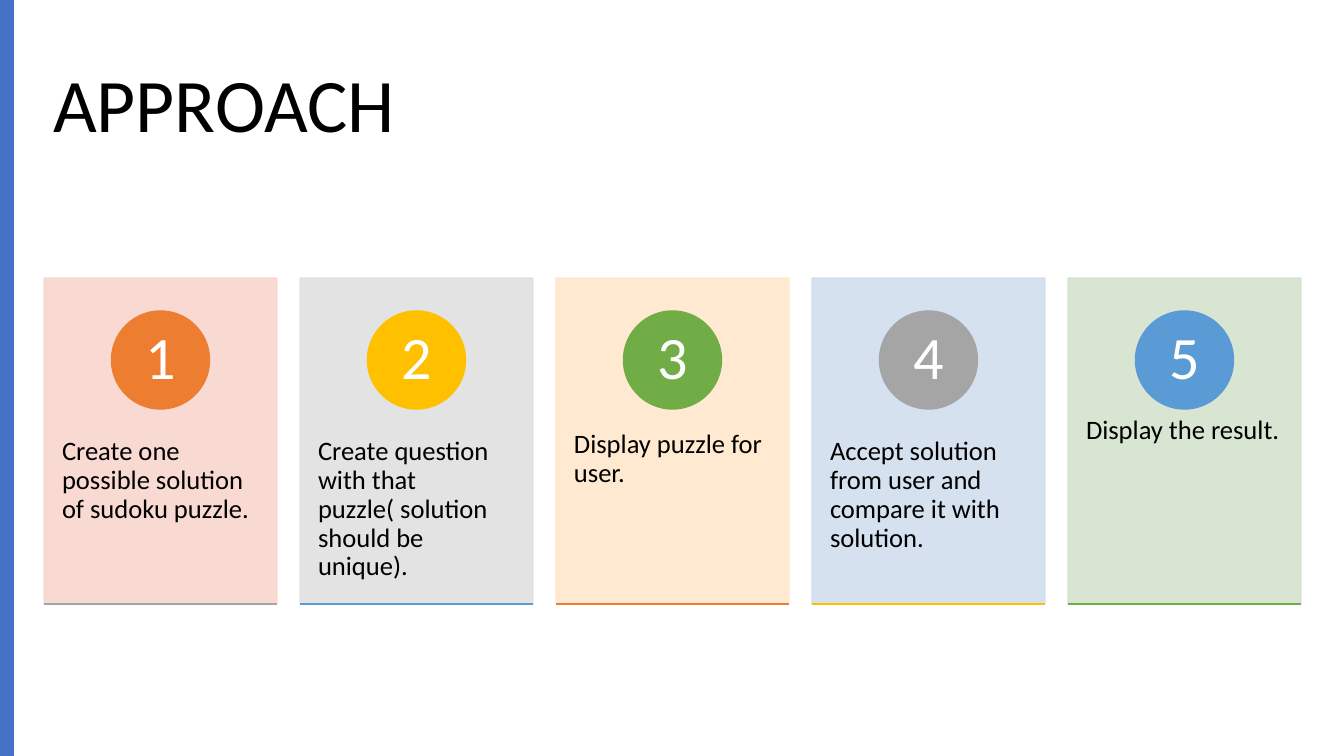
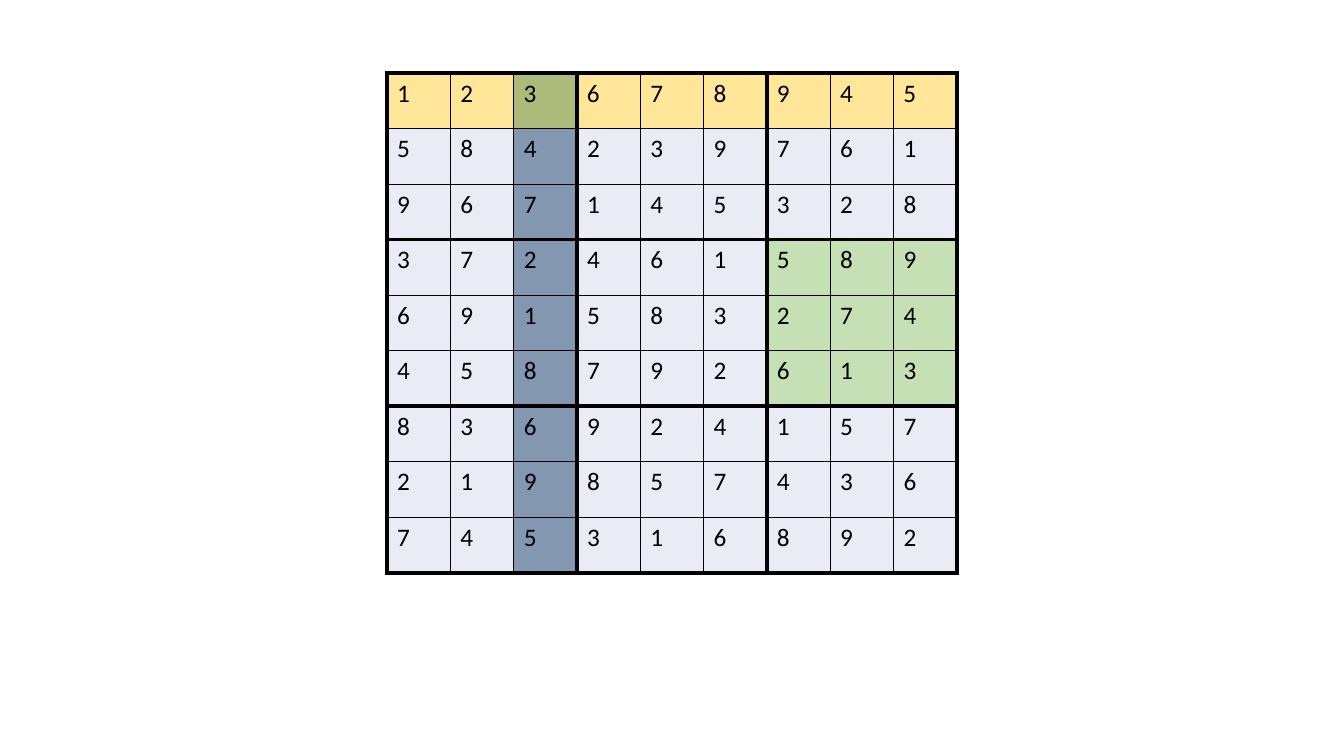
from lxml.etree import SubElement
from pptx import Presentation
from pptx.dml.color import RGBColor
from pptx.enum.shapes import MSO_CONNECTOR, MSO_SHAPE
from pptx.enum.text import MSO_ANCHOR, PP_ALIGN
from pptx.oxml.ns import qn
from pptx.util import Emu, Pt

SLIDE_WIDTH, SLIDE_HEIGHT = 1344, 756
EMU_PER_PIXEL = 914400 / 100.8
FONT = "Calibri"
COLORS = {
    "black": "000000", "white": "FFFFFF", "accent": "4472C4",
    "orange": "ED7D31", "yellow": "FFC000", "green": "70AD47",
    "gray": "A5A5A5", "blue": "5B9BD5",
    "pale_red": "F8D7CE", "pale_gray": "E1E1E1", "pale_orange": "FFE8CC",
    "pale_blue": "D2DEEF", "pale_green": "D5E3CF",
    "cell": "E9EBF5", "row": "FFE699", "column": "8497B0",
    "crossing": "ACBA7A", "block": "C5E0B4",
}

# Text, card colour, circle colour, baseline colour
STEPS = [
    ("Create one possible solution of sudoku puzzle.", "pale_red", "orange", "gray"),
    ("Create question with that puzzle( solution should be unique).",
     "pale_gray", "yellow", "blue"),
    ("Display puzzle for user.", "pale_orange", "green", "orange"),
    ("Accept solution from user and compare it with solution.",
     "pale_blue", "gray", "yellow"),
    ("Display the result.", "pale_green", "blue", "green"),
]

SUDOKU = [
    "123678945", "584239761", "967145328",
    "372461589", "691583274", "458792613",
    "836924157", "219857436", "745316892",
]
# Row range and column range of each table that makes up the grid
SUDOKU_PARTS = [
    (range(1, 9), range(0, 2)),
    (range(0, 1), range(0, 9)),
    (range(1, 9), range(2, 3)),
    (range(1, 9), range(3, 9)),
]


def px(*lengths):
    """Turn pixel lengths into a list of EMU lengths."""
    return [Emu(round(length * EMU_PER_PIXEL)) for length in lengths]


def color(name):
    """Return a named colour."""
    return RGBColor.from_string(COLORS[name])


def write(frame, text, size, color_name="black", align=PP_ALIGN.LEFT,
          anchor=MSO_ANCHOR.TOP, spacing=0.9):
    """Fill the first paragraph of a text frame with one formatted run."""
    frame.word_wrap = True
    frame.vertical_anchor = anchor
    paragraph = frame.paragraphs[0]
    paragraph.alignment = align
    paragraph.line_spacing = spacing
    run = paragraph.add_run()
    run.text = text
    run.font.name = FONT
    run.font.size = Pt(size)
    run.font.color.rgb = color(color_name)


def set_margins(frame, horizontal, vertical):
    """Set the insets of a text frame in pixels."""
    frame.margin_left, frame.margin_right = px(horizontal, horizontal)
    frame.margin_top, frame.margin_bottom = px(vertical, vertical)


def add_filled(slide, kind, box, color_name, opacity=None):
    """Add a flat shape whose outline has the colour of its fill."""
    shape = slide.shapes.add_shape(kind, *px(*box))
    shape.shadow.inherit = False
    shape.fill.solid()
    shape.fill.fore_color.rgb = color(color_name)
    shape.line.color.rgb = color(color_name)
    shape.line.width = Pt(1)
    if opacity is not None:
        for element in shape._element.spPr.iter(qn("a:srgbClr")):
            SubElement(element, qn("a:alpha"), val=str(opacity * 1000))
    return shape


def add_title(slide, box, text):
    """Place and format the title placeholder."""
    title = slide.shapes.title
    title.left, title.top, title.width, title.height = px(*box)
    write(title.text_frame, text, 54, anchor=MSO_ANCHOR.MIDDLE)


def add_step(slide, box, number, step):
    """Draw one step card: panel, text, numbered circle and baseline."""
    left, top, width, height = box
    text, card_color, circle_color, baseline_color = step
    add_filled(slide, MSO_SHAPE.RECTANGLE, box, card_color, opacity=90)

    body = slide.shapes.add_textbox(*px(left, top + 124, width, 196))
    set_margins(body.text_frame, 18, 36)
    write(body.text_frame, text, 19)

    diameter = 98
    circle_box = (left + (width - diameter) / 2, top + 33, diameter, diameter)
    circle = add_filled(slide, MSO_SHAPE.OVAL, circle_box, circle_color)
    set_margins(circle.text_frame, 0, 0)
    write(circle.text_frame, str(number), 43, "white", PP_ALIGN.CENTER, MSO_ANCHOR.MIDDLE)

    bottom = top + height
    baseline = slide.shapes.add_connector(
        MSO_CONNECTOR.STRAIGHT, *px(left, bottom, left + width, bottom))
    baseline.line.color.rgb = color(baseline_color)
    baseline.line.width = Pt(1)
    SubElement(baseline._element.spPr, qn("a:effectLst"))


def add_steps(slide, box, gap):
    """Spread the step cards evenly over the box."""
    left, top, width, height = box
    pitch = (width + gap) / len(STEPS)
    for index, step in enumerate(STEPS):
        add_step(slide, (left + index * pitch, top, pitch - gap, height), index + 1, step)


def cell_color(row, column):
    """Name the fill of a sudoku cell: marked row, column, block or plain."""
    if row == 0:
        return "crossing" if column == 2 else "row"
    if column == 2:
        return "column"
    return "block" if row in range(3, 6) and column >= 6 else "cell"


def add_borders(cell, row, column):
    """Rule a cell, with thick lines on the edges of the 3 by 3 blocks."""
    edges = {"a:lnL": column, "a:lnR": column + 1, "a:lnT": row, "a:lnB": row + 1}
    properties = cell._tc.get_or_add_tcPr()
    for tag, position in edges.items():
        thickness = Pt(3) if position % 3 == 0 else Pt(0.5)
        line = SubElement(properties, qn(tag), w=str(thickness))
        fill = SubElement(line, qn("a:solidFill"))
        SubElement(fill, qn("a:srgbClr"), val=COLORS["black"])


def add_sudoku_part(slide, box, rows, columns):
    """Add the table for some rows and columns of the grid in the box."""
    left, top, width, height = box
    cell_width, cell_height = width / 9, height / 9
    frame = slide.shapes.add_table(len(rows), len(columns), *px(
        left + columns[0] * cell_width, top + rows[0] * cell_height,
        len(columns) * cell_width, len(rows) * cell_height))
    table = frame.table
    table.first_row = table.horz_banding = False
    for row_index, row in enumerate(rows):
        for column_index, column in enumerate(columns):
            cell = table.cell(row_index, column_index)
            add_borders(cell, row, column)
            cell.fill.solid()
            cell.fill.fore_color.rgb = color(cell_color(row, column))
            write(cell.text_frame, SUDOKU[row][column], 18, spacing=1.0)


def build_approach(presentation):
    """Build the slide with the five steps."""
    slide = presentation.slides.add_slide(presentation.slide_layouts[5])
    add_title(slide, (43, 35, 1258, 146), "APPROACH")
    bar = add_filled(slide, MSO_SHAPE.RECTANGLE, (0, 0, 14, SLIDE_HEIGHT), "accent")
    bar.line.fill.background()
    add_steps(slide, (44, 278, 1257, 326), gap=23)


def build_sudoku(presentation):
    """Build the slide with the solved puzzle."""
    slide = presentation.slides.add_slide(presentation.slide_layouts[6])
    for rows, columns in SUDOKU_PARTS:
        add_sudoku_part(slide, (387, 73, 570, 500), rows, columns)


def main():
    """Build and save the presentation."""
    presentation = Presentation()
    presentation.slide_width, presentation.slide_height = px(SLIDE_WIDTH, SLIDE_HEIGHT)
    build_approach(presentation)
    build_sudoku(presentation)
    presentation.save("out.pptx")


main()
